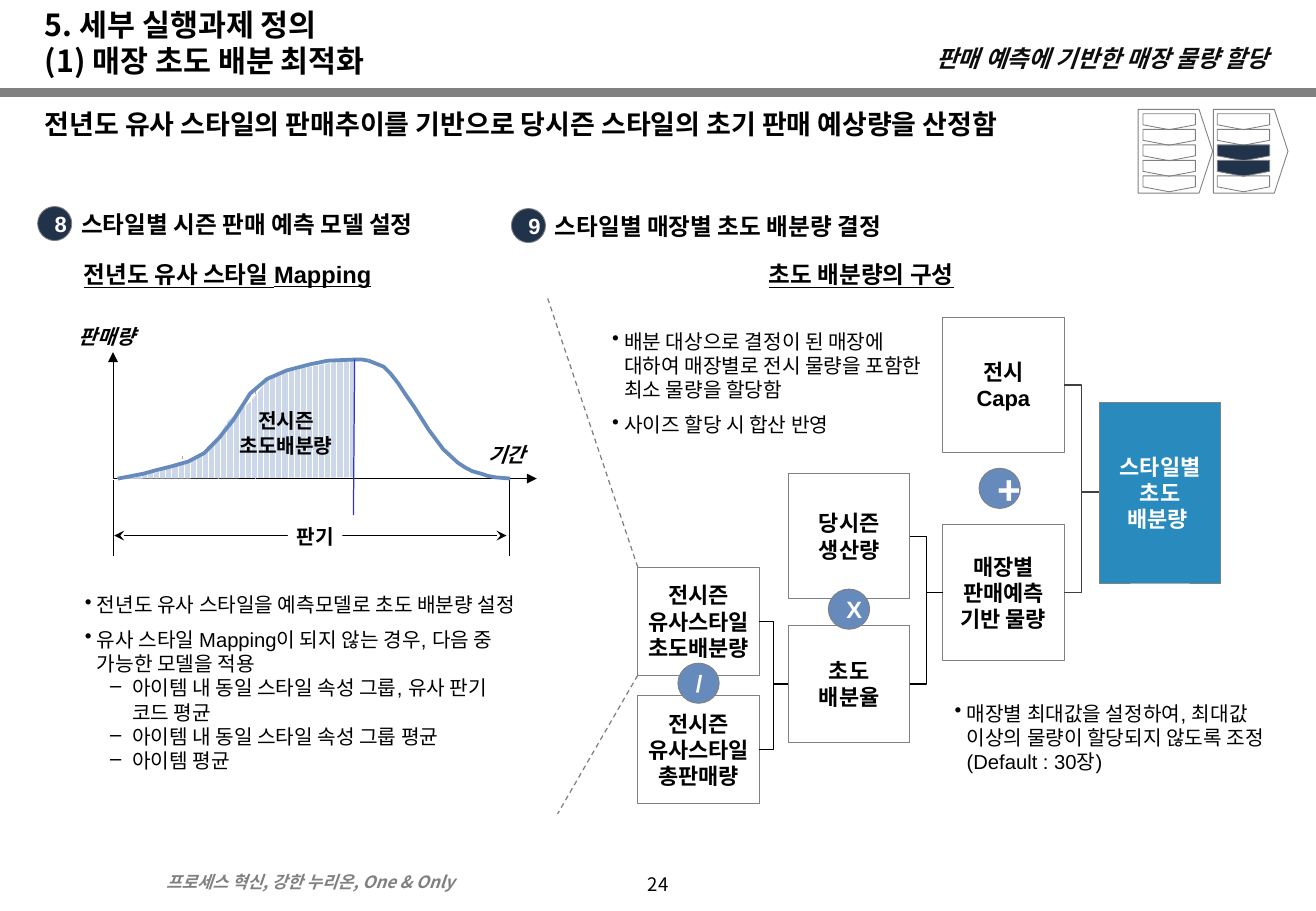
import lxml.etree
import pptx
import pptx.dml.color
import pptx.enum.dml
import pptx.enum.shapes
import pptx.enum.text
import pptx.oxml.ns
import pptx.util
from dataclasses import dataclass

Pt = pptx.util.Pt
qn = pptx.oxml.ns.qn
SHAPE = pptx.enum.shapes.MSO_SHAPE
CONNECTOR = pptx.enum.shapes.MSO_CONNECTOR
ALIGN = pptx.enum.text.PP_ALIGN
ANCHOR = pptx.enum.text.MSO_ANCHOR
DASH = pptx.enum.dml.MSO_LINE.DASH


@dataclass(frozen=True)
class Theme:
    black: str = "000000"
    white: str = "FFFFFF"
    grey: str = "808080"
    light_grey: str = "A6A6A6"
    dark_grey: str = "404040"
    ink: str = "0D0D0D"
    navy: str = "21324B"
    blue: str = "678ABC"
    pale_blue: str = "CCD8E9"
    result_blue: str = "298ABD"
    marker_blue: str = "3333CC"
    latin: str = "Arial"
    korean: str = "Noto Sans CJK KR"
    title: float = 18
    message: float = 16
    heading: float = 14
    box: float = 13
    body: float = 12
    number: float = 11
    footer: float = 10
    plus: float = 24
    leading: float = 1.2


T = Theme()
SIDES = (7.2, 0, 7.2, 0)
TIGHT = (3.6, 3.6, 3.6, 3.6)
DEFAULT = (7.2, 3.6, 7.2, 3.6)


def rgb(value):
    return pptx.dml.color.RGBColor.from_string(value)


class SlideBuilder:
    def __init__(self, slide, theme):
        self.slide, self.theme = slide, theme

    def style(self, paragraph, size, color=T.black, font=T.korean, bold=True,
              italic=False, underline=False, align=ALIGN.LEFT):
        paragraph.alignment = align
        paragraph.line_spacing = Pt(round(size * self.theme.leading, 1))
        face = paragraph.font
        face.size, face.bold, face.italic, face.underline = Pt(size), bold, italic, underline
        face.color.rgb = rgb(color)
        face.name = font
        properties = paragraph._p.get_or_add_pPr().get_or_add_defRPr()
        lxml.etree.SubElement(properties, qn("a:ea")).set("typeface", self.theme.korean)

    def frame(self, shape, insets, anchor, wrap=True):
        frame = shape.text_frame
        frame.word_wrap = wrap
        frame.auto_size = pptx.enum.text.MSO_AUTO_SIZE.NONE
        frame.vertical_anchor = anchor
        (frame.margin_left, frame.margin_top,
         frame.margin_right, frame.margin_bottom) = map(Pt, insets)
        return frame

    def title(self, text, place):
        title = self.slide.shapes.title
        title.left, title.top, title.width, title.height = map(Pt, place)
        line = self.frame(title, DEFAULT, ANCHOR.BOTTOM).paragraphs[0]
        line.text = text
        self.style(line, self.theme.title)

    def text(self, text, place, size, insets=DEFAULT, anchor=ANCHOR.MIDDLE, wrap=True, **style):
        label = self.slide.shapes.add_textbox(*map(Pt, place))
        line = self.frame(label, insets, anchor, wrap).paragraphs[0]
        line.text = text
        self.style(line, size, **style)

    def bullets(self, items, place):
        """Each item is a (level, text) pair."""
        box = self.slide.shapes.add_textbox(*map(Pt, place))
        frame = self.frame(box, SIDES, ANCHOR.MIDDLE)
        for index, (level, text) in enumerate(items):
            line = frame.add_paragraph() if index else frame.paragraphs[0]
            line.text, line.level = text, level
            line.space_before = Pt(0 if level else 6)
            margin, hang, mark = (28, 13, "–") if level else (7.2, 7.2, "•")
            properties = line._p.get_or_add_pPr()
            properties.set("marL", str(Pt(margin)))
            properties.set("indent", str(-Pt(hang)))
            self.style(line, self.theme.body, font=self.theme.latin, bold=False)
            bullet = lxml.etree.Element(qn("a:buChar"), char=mark)
            properties.find(qn("a:defRPr")).addprevious(bullet)

    def shape(self, kind, place, fill=None, line=T.grey, text=None, size=T.box,
              color=T.black, font=T.latin, insets=SIDES, wrap=True, rotation=0, adjust=None):
        shape = self.slide.shapes.add_shape(kind, *map(Pt, place))
        shape.rotation = rotation
        if adjust is not None:
            shape.adjustments[0] = adjust
        self.paint(shape, fill, line, 0.5)
        if text:
            label = self.frame(shape, insets, ANCHOR.MIDDLE, wrap).paragraphs[0]
            label.text = text
            self.style(label, size, color, font, align=ALIGN.CENTER)

    def paint(self, shape, fill, line, width):
        shape.shadow.inherit = False
        if fill:
            shape.fill.solid()
            shape.fill.fore_color.rgb = rgb(fill)
        else:
            shape.fill.background()
        if line:
            shape.line.color.rgb = rgb(line)
            shape.line.width = Pt(width)
        else:
            shape.line.fill.background()

    def arrowheads(self, line, kind):
        for end in ("a:headEnd", "a:tailEnd"):
            lxml.etree.SubElement(line._get_or_add_ln(), qn(end)).set("type", kind)

    def line(self, start, end, color, width, dash=None, heads=None, kind=CONNECTOR.STRAIGHT):
        line = self.slide.shapes.add_connector(kind, *map(Pt, (*start, *end)))
        line.line.color.rgb = rgb(color)
        line.line.width = Pt(width)
        if dash:
            line.line.dash_style = dash
        if heads:
            self.arrowheads(line.line, heads)
        lxml.etree.SubElement(line._element.spPr, qn("a:effectLst"))

    def outline(self, points, line=None, width=0.5, close=False, heads=None, stripes=None):
        (x, y), *rest = [(px * 100, py * 100) for px, py in points]
        builder = self.slide.shapes.build_freeform(x, y, scale=Pt(1) / 100)
        builder.add_line_segments(rest, close=close)
        shape = builder.convert_to_shape()
        self.paint(shape, None, line, width)
        if stripes:
            shape.fill.patterned()
            shape.fill.pattern = pptx.enum.dml.MSO_PATTERN.DARK_VERTICAL
            shape.fill.fore_color.rgb = rgb(stripes)
            shape.fill.back_color.rgb = rgb(self.theme.white)
        if heads:
            self.arrowheads(shape.line, heads)


def main():
    deck = pptx.Presentation()
    deck.slide_width, deck.slide_height = Pt(780), Pt(540)
    s = SlideBuilder(deck.slides.add_slide(deck.slide_layouts[5]), T)

    # Header and footer
    s.line((0, 54.8), (780, 54.8), T.grey, 5)
    s.text("24", (354.2, 513.4, 72, 21.6), T.number, bold=False, align=ALIGN.CENTER)
    s.text("프로세스 혁신, 강한 누리온, One & Only", (91.4, 513.4, 239, 19.4), T.footer,
           anchor=ANCHOR.TOP, color=T.grey, italic=True)
    s.title("5. 세부 실행과제 정의\n(1) 매장 초도 배분 최적화", (19.4, 17.3, 737.3, 33.1))
    s.text("판매 예측에 기반한 매장 물량 할당", (615.6, 23, 140.4, 22.3), T.heading,
           insets=(4.3, 0, 4.3, 0), wrap=False, color=T.ink, italic=True, align=ALIGN.RIGHT)
    s.text("전년도 유사 스타일의 판매추이를 기반으로 당시즌 스타일의 초기 판매 예상량을 산정함",
           (19.4, 60.5, 579.6, 59.8), T.message, anchor=ANCHOR.TOP)

    # Process locator: two stages of five steps
    for stage, current_steps in enumerate(((), (2, 3))):
        s.shape(SHAPE.PENTAGON, (674.6 + 44.6 * stage, 64.8, 44.2, 49.7), adjust=0.183)
        for step in range(5):
            s.shape(SHAPE.PENTAGON, (688.3 + 44 * stage, 56.7 + 9.2 * step, 9.4, 31),
                    fill=T.navy if step in current_steps else None, rotation=90, adjust=0.309)

    # Section headings
    for number, heading, left, top in (("8", "스타일별 시즌 판매 예측 모델 설정", 22.3, 122.4),
                                       ("9", "스타일별 매장별 초도 배분량 결정", 303.1, 123.6)):
        s.shape(SHAPE.OVAL, (left, top, 20.2, 20.2), T.navy, text=number, color=T.white)
        s.text(heading, (left + 18.7, top - 1.6, 304.6, 24.5), T.heading, font=T.latin)
    for subheading, left in (("전년도 유사 스타일 Mapping", 42.5), ("초도 배분량의 구성", 448.6)):
        s.text(subheading, (left, 150.5, 288, 24.5), T.heading, font=T.latin, underline=True)

    # Sales curve: axes and season span
    s.outline([(67, 208.8), (67, 283.7), (318.2, 283.7)], T.black, heads="triangle")
    for name, left, top, width in (("판매량", 43.2, 188.6, 45.4), ("기간", 285.8, 258.5, 32.4)):
        s.text(name, (left, top, width, 11.5), T.body, insets=TIGHT, anchor=ANCHOR.TOP,
               wrap=False, italic=True)
    for x, top, bottom in ((108, 270, 279.4), (129.6, 260.6, 283.7), (151.2, 231.8, 283.7)):
        s.line((x, top), (x, bottom), T.light_grey, 0.5, DASH)
    s.line((67.7, 317.5), (300.2, 317.5), T.black, 0.25, heads="stealth")
    s.shape(SHAPE.RECTANGLE, (170.6, 311.8, 32.4, 12.2), T.white, None, "판기", T.body,
            font=T.korean, insets=TIGHT, wrap=False)
    for x in (67, 301.7):
        s.line((x, 284.4), (x, 329.8), T.black, 0.5)

    # Sales curve: shaded initial allocation and bell outline
    s.outline([(69.1, 283.7), (92.9, 280.1), (120.2, 269.3), (128.2, 262.1), (134.6, 249.8),
               (148.3, 238.3), (159.8, 223.9), (180, 218.2), (210.2, 212.4), (209.5, 283),
               (73.4, 283.7)], close=True, stripes=T.pale_blue)
    falling = [(218.5, 213.8), (227.5, 217.4), (231.8, 221.8), (236.2, 227.5), (240.5, 234),
               (245.5, 241.2), (254.2, 254.9), (262.8, 266.4), (271.4, 274.3), (275.8, 277.2),
               (280.1, 279.4), (285.1, 280.8), (289.4, 282.2), (293.8, 283), (302.4, 283.7)]
    rising = [(69.8, 283.7), (85, 280.8), (92.9, 278.6), (101.5, 276.5), (111.6, 273.6),
              (121, 268.6), (129.6, 259.9), (138.2, 249.1), (148.3, 233.3), (158.4, 224.6),
              (169.9, 219.6), (183.6, 216), (194.4, 213.8), (210.2, 213.1), (214.6, 213.1),
              (218.5, 213.8)]
    for half in (falling, rising):
        s.outline(half, T.blue, 2.25)
    s.line((210.2, 213.1), (209.5, 305.3), T.marker_blue, 0.75)
    s.text("전시즌\n초도배분량", (153.4, 250.6, 32.4, 12.2), T.body, insets=TIGHT,
           wrap=False, align=ALIGN.CENTER)

    # Explanations
    s.bullets([(0, "전년도 유사 스타일을 예측모델로 초도 배분량 설정"),
               (0, "유사 스타일 Mapping이 되지 않는 경우, 다음 중 가능한 모델을 적용"),
               (1, "아이템 내 동일 스타일 속성 그룹, 유사 판기 코드 평균"),
               (1, "아이템 내 동일 스타일 속성 그룹 평균"),
               (1, "아이템 평균")], (43.2, 330.5, 275, 148.3))
    s.bullets([(0, "배분 대상으로 결정이 된 매장에 대하여 매장별로 전시 물량을 포함한 최소 물량을 할당함"),
               (0, "사이즈 할당 시 합산 반영")], (355.7, 185.8, 201.6, 82.1))
    s.bullets([(0, "매장별 최대값을 설정하여, 최대값 이상의 물량이 할당되지 않도록 조정 (Default : 30장)")],
              (558.7, 396, 201.6, 82.1))

    # Allocation tree: boxes
    s.shape(SHAPE.RECTANGLE, (651.6, 238.3, 72, 107.3), T.result_blue,
            text="스타일별 초도 배분량 ", color=T.white)
    for text, left, top, height, wrap in (
            ("전시 Capa", 558.7, 187.9, 80.6, True),
            ("매장별\n판매예측\n기반 물량", 558.7, 311, 80.6, True),
            ("당시즌 생산량", 467.3, 280.8, 74.2, True),
            ("초도\n배분율", 467.3, 370.8, 69.1, True),
            ("전시즌\n유사스타일\n초도배분량", 378, 336.2, 64.1, False),
            ("전시즌\n유사스타일\n총판매량", 378, 412.3, 64.1, False)):
        s.shape(SHAPE.RECTANGLE, (left, top, 72, height), text=text, wrap=wrap)

    # Allocation tree: operators
    for sign, left, top, size in (("+", 580.3, 277.6, T.plus), ("X", 491, 349.2, T.heading),
                                  ("/", 401.8, 393.1, T.heading)):
        s.shape(SHAPE.OVAL, (left, top, 24.5, 23.8), T.blue, text=sign, size=size, color=T.white)

    # Allocation tree: brackets joining each pair to its result
    for left, inputs, right, result, color in (
            (450, (444.2, 368.6), 467.3, 405.4, T.black),
            (539.3, (405.4, 318.2), 558.7, 351.4, T.black),
            (630.7, (228.2, 351.4), 651.6, 291.6, T.dark_grey)):
        for y in inputs:
            s.line((left, y), (right, result), color, 0.75, kind=CONNECTOR.ELBOW)

    # Zoom lines from the curve to the tree
    s.line((378, 336.2), (324, 175), T.grey, 0.75, DASH)
    s.line((378, 400.3), (330.5, 482.4), T.grey, 0.75, DASH)

    deck.save("out.pptx")


if __name__ == "__main__":
    main()
